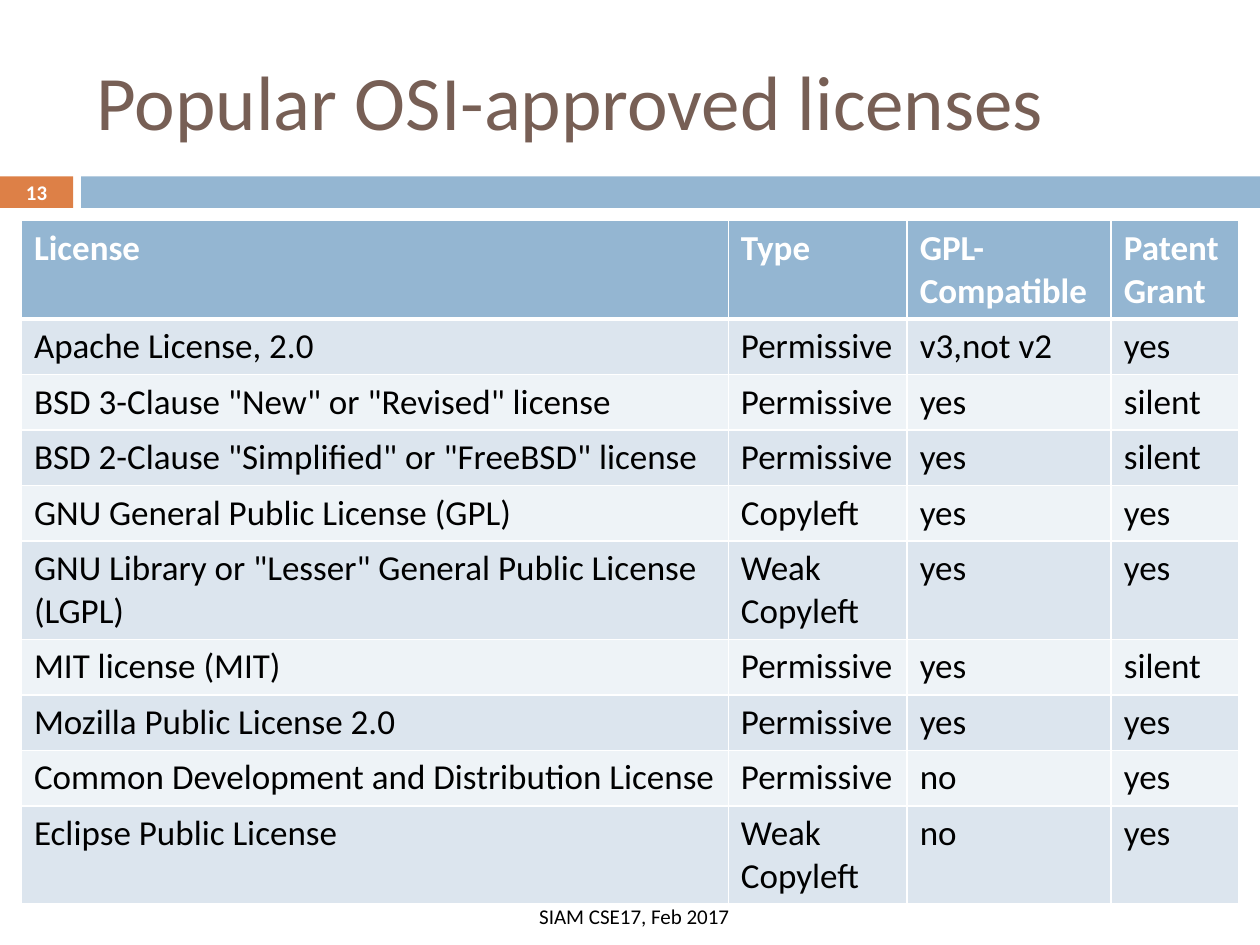
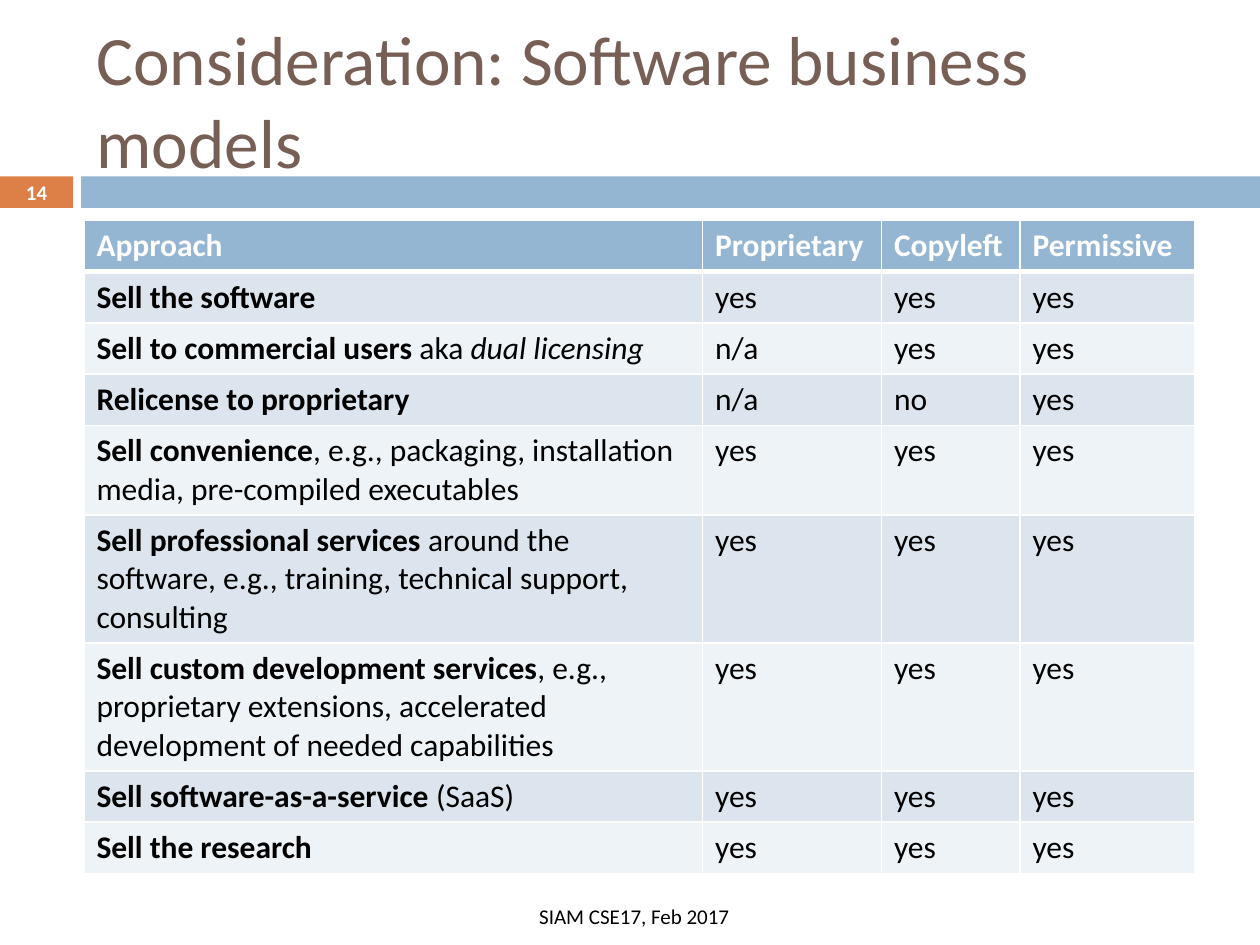
from lxml import etree
from pptx import Presentation
from pptx.dml.color import RGBColor
from pptx.enum.shapes import MSO_SHAPE
from pptx.enum.text import MSO_ANCHOR, MSO_AUTO_SIZE, PP_ALIGN
from pptx.oxml.ns import qn
from pptx.util import Inches, Pt

RECT = MSO_SHAPE.RECTANGLE
MIDDLE, TOP = MSO_ANCHOR.MIDDLE, MSO_ANCHOR.TOP
LEFT, CENTER = PP_ALIGN.LEFT, PP_ALIGN.CENTER
NO_FIT = MSO_AUTO_SIZE.NONE

FONT = "Calibri"
WHITE, BLACK, BROWN = "FFFFFF", "000000", "775F55"
BLUE, ORANGE = "94B6D2", "DD8047"
STRIPES = ("DCE5EE", "EEF3F7")

# Grid of 100 columns by 75 rows; boxes are (left, top, width, height) in cells.
COLUMNS, ROWS = 100, 75
CELL = Inches(0.1)
TITLE_BOX = (6.66, 2.5, 89.2, 10.8)
NUMBER_BOX = (0, 14, 5.8, 2.5)
BAND_BOX = (6.45, 14, COLUMNS - 6.45, 2.5)
FOOTER_BOX = (33.7, 71.2, 33.3, 2.4)
TABLE_TOP, TABLE_ROW = 17.5, 4.07
FOOTER = "SIAM CSE17, Feb 2017"

LICENSES = [
    ("License", "Type", "GPL-Compatible", "Patent Grant"),
    ("Apache License, 2.0", "Permissive", "v3,not v2", "yes"),
    ('BSD 3-Clause "New" or "Revised" license', "Permissive", "yes", "silent"),
    ('BSD 2-Clause "Simplified" or "FreeBSD" license', "Permissive", "yes", "silent"),
    ("GNU General Public License (GPL)", "Copyleft", "yes", "yes"),
    ('GNU Library or "Lesser" General Public License (LGPL)', "Weak Copyleft", "yes", "yes"),
    ("MIT license (MIT)", "Permissive", "yes", "silent"),
    ("Mozilla Public License 2.0", "Permissive", "yes", "yes"),
    ("Common Development and Distribution License", "Permissive", "no", "yes"),
    ("Eclipse Public License", "Weak Copyleft", "no", "yes"),
]

# An approach is a tuple of text parts: bold, plain, italic.
APPROACHES = [
    ("Approach", "Proprietary", "Copyleft", "Permissive"),
    (("Sell the software",), "yes", "yes", "yes"),
    (("Sell to commercial users", " aka ", "dual licensing"), "n/a", "yes", "yes"),
    (("Relicense to proprietary",), "n/a", "no", "yes"),
    (("Sell convenience",
      ", e.g., packaging, installation media, pre-compiled executables"), "yes", "yes", "yes"),
    (("Sell professional services ",
      "around the software, e.g., training, technical support, consulting"), "yes", "yes", "yes"),
    (("Sell custom development services",
      ", e.g., proprietary extensions, accelerated development of needed capabilities"),
     "yes", "yes", "yes"),
    (("Sell software-as-a-service ", "(SaaS)"), "yes", "yes", "yes"),
    (("Sell the research",), "yes", "yes", "yes"),
]
PART_STYLES = ({"bold": True}, {}, {"italic": True})


def rgb(color):
    return RGBColor.from_string(color)


def cells(*counts):
    return [round(n * CELL) for n in counts]


def set_all(target, values):
    for name, value in values.items():
        setattr(target, name, value)


def add_run(p, text, size, color, **style):
    r = p.add_run()
    r.text = text
    r.font.color.rgb = rgb(color)
    set_all(r.font, {"name": FONT, "size": Pt(size), "bold": False, "italic": False, **style})


def write(tf, text, size, color, align=LEFT, anchor=MIDDLE, **style):
    set_all(tf, {"word_wrap": True, "auto_size": NO_FIT, "vertical_anchor": anchor})
    p = tf.paragraphs[0]
    p.alignment = align
    add_run(p, text, size, color, **style)


def add_bar(s, box, color):
    bar = s.shapes.add_shape(RECT, *cells(*box))
    bar.shadow.inherit = False
    bar.fill.solid()
    bar.fill.fore_color.rgb = rgb(color)
    bar.line.fill.background()
    return bar


def add_frame(prs, title, title_size, number):
    """Add a slide with its title, numbered band and footer."""
    s = prs.slides.add_slide(prs.slide_layouts[5])
    sp = s.shapes.title
    sp.left, sp.top, sp.width, sp.height = cells(*TITLE_BOX)
    write(sp.text_frame, title, title_size, BROWN)

    add_bar(s, BAND_BOX, BLUE)
    tf = add_bar(s, NUMBER_BOX, ORANGE).text_frame
    set_all(tf, dict.fromkeys(("margin_left", "margin_top", "margin_right", "margin_bottom"), 0))
    write(tf, str(number), 11.9, WHITE, CENTER, bold=True)

    footer = s.shapes.add_textbox(*cells(*FOOTER_BOX))
    write(footer.text_frame, FOOTER, 12, BLACK, CENTER, TOP)
    return s


def set_borders(cell, **widths):
    """Draw white cell borders, given in points by side: L, R, T, B."""
    tc_pr = cell._tc.get_or_add_tcPr()
    for i, side in enumerate("LRTB"):
        ln = etree.Element(qn(f"a:ln{side}"), w=str(Pt(widths.get(side, 1))))
        fill = etree.SubElement(ln, qn("a:solidFill"))
        etree.SubElement(fill, qn("a:srgbClr"), val=WHITE)
        tc_pr.insert(i, ln)


def add_grid(s, left, widths, rows, size):
    """Add a striped table whose first row is the header."""
    box = cells(left, TABLE_TOP, sum(widths), TABLE_ROW * len(rows))
    table = s.shapes.add_table(len(rows), len(widths), *box).table
    for column, width in zip(table.columns, cells(*widths)):
        column.width = width
    for i, row in enumerate(rows):
        table.rows[i].height = cells(TABLE_ROW)[0]
        header = i == 0
        for j, content in enumerate(row):
            cell = table.cell(i, j)
            cell.fill.solid()
            cell.fill.fore_color.rgb = rgb(BLUE if header else STRIPES[(i - 1) % 2])
            set_borders(cell, T=3 if i == 1 else 1, B=3 if header else 1)
            p = cell.text_frame.paragraphs[0]
            if isinstance(content, tuple):
                for part, style in zip(content, PART_STYLES):
                    add_run(p, part, size, BLACK, **style)
            else:
                add_run(p, content, size, WHITE if header else BLACK, bold=header)


def main():
    prs = Presentation()
    prs.slide_width, prs.slide_height = cells(COLUMNS, ROWS)
    s = add_frame(prs, "Popular OSI-approved licenses", 44, 13)
    add_grid(s, 1.7, (56.1, 14.2, 16.2, 10.1), LICENSES, 20)
    s = add_frame(prs, "Consideration: Software business models", 39.6, 14)
    add_grid(s, 6.66, (49.1, 14.2, 11, 13.9), APPROACHES, 18)
    prs.save("out.pptx")


if __name__ == "__main__":
    main()
